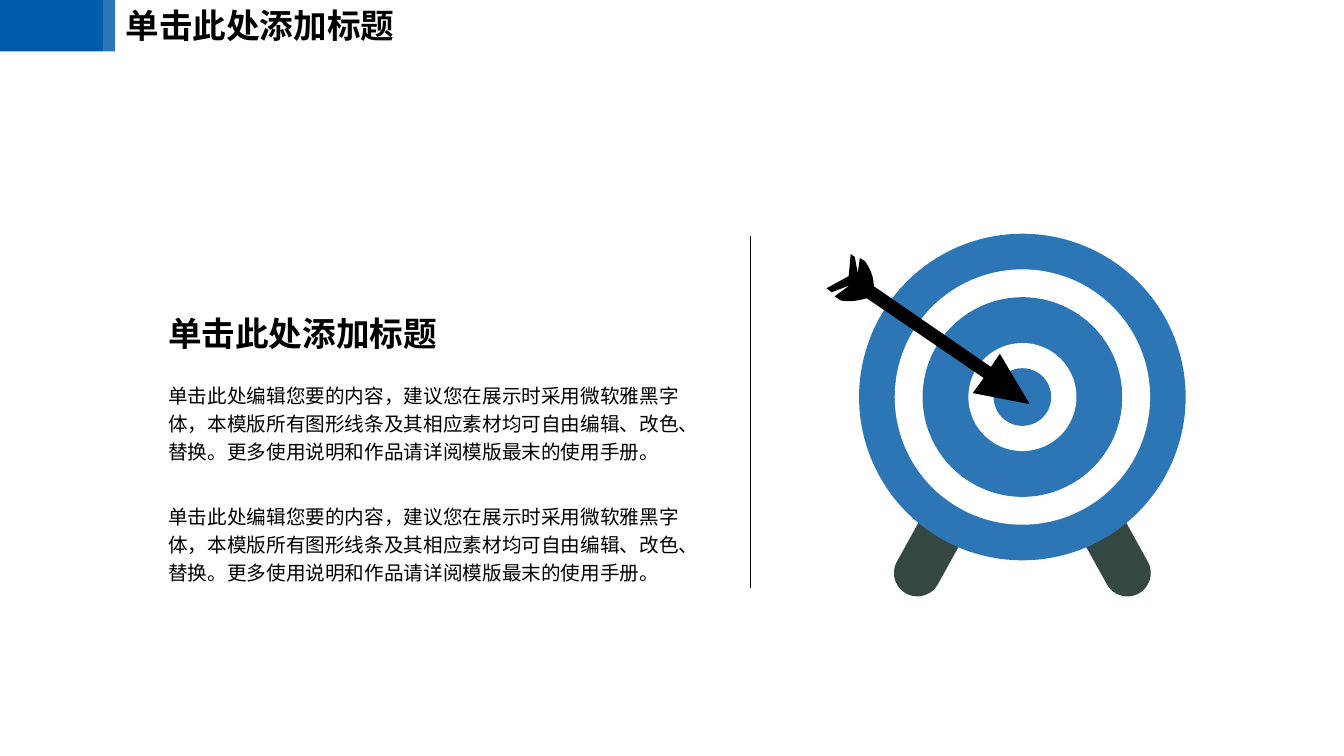
from dataclasses import dataclass

from lxml.etree import SubElement
from pptx import Presentation
from pptx.dml.color import RGBColor
from pptx.enum.shapes import MSO_CONNECTOR, MSO_SHAPE
from pptx.enum.text import MSO_AUTO_SIZE
from pptx.oxml.ns import qn
from pptx.util import Pt


@dataclass(frozen=True)
class Theme:
    font: str = "Noto Sans CJK SC"
    navy: str = "005BAC"
    blue: str = "2C76B5"
    white: str = "FFFFFF"
    black: str = "000000"
    leg: str = "354743"
    title_size: float = 24
    body_size: float = 14
    body_spacing: float = 1.2


class SlideBuilder:
    def __init__(self, slide, theme):
        self.s = slide
        self.theme = theme
        self.shapes = slide.shapes  # where new shapes go

    def start_group(self):
        self.shapes = self.s.shapes.add_group_shape().shapes

    def end_group(self):
        self.shapes = self.s.shapes

    def paint(self, sp, color):
        sp.shadow.inherit = False
        sp.fill.solid()
        sp.fill.fore_color.rgb = RGBColor.from_string(color)
        sp.line.fill.background()
        return sp

    def shape(self, kind, x, y, w, h, color):
        sp = self.shapes.add_shape(kind, Pt(x), Pt(y), Pt(w), Pt(h))
        return self.paint(sp, color)

    def disc(self, cx, cy, d, color):
        self.shape(MSO_SHAPE.OVAL, cx - d / 2, cy - d / 2, d, d, color)

    def capsule(self, cx, cy, w, h, angle, color):
        sp = self.shape(MSO_SHAPE.ROUNDED_RECTANGLE, cx - w / 2, cy - h / 2, w, h, color)
        sp.adjustments[0] = 0.5
        sp.rotation = angle

    def outline(self, points, color):
        first, *rest = [(Pt(x), Pt(y)) for x, y in points]
        builder = self.shapes.build_freeform(*first, scale=1.0)
        builder.add_line_segments(rest, close=True)
        self.paint(builder.convert_to_shape(), color)

    def rule(self, x1, y1, x2, y2, color, width):
        line = self.shapes.add_connector(
            MSO_CONNECTOR.STRAIGHT, Pt(x1), Pt(y1), Pt(x2), Pt(y2))
        line.line.color.rgb = RGBColor.from_string(color)
        line.line.width = Pt(width)
        SubElement(line._element.spPr, qn("a:effectLst"))

    def text_frame(self, x, y, w, h):
        tf = self.shapes.add_textbox(Pt(x), Pt(y), Pt(w), Pt(h)).text_frame
        tf.word_wrap = True
        tf.auto_size = MSO_AUTO_SIZE.SHAPE_TO_FIT_TEXT
        return tf

    def run(self, p, text, size, bold=False):
        r = p.add_run()
        r.text = text
        r.font.name = self.theme.font
        r.font.size = Pt(size)
        r.font.bold = bold
        r.font.color.rgb = RGBColor.from_string(self.theme.black)
        ea = SubElement(r.font._element, qn("a:ea"))
        ea.set("typeface", self.theme.font)

    def title(self, text, x, y):
        tf = self.text_frame(x, y, 216.7, 36)
        self.run(tf.paragraphs[0], text, self.theme.title_size, bold=True)

    def body(self, paragraphs, x, y, w, h):
        """paragraphs: pairs of text and space before."""
        tf = self.text_frame(x, y, w, h)
        tf.margin_left = tf.margin_right = tf.margin_top = tf.margin_bottom = 0
        for i, (text, before) in enumerate(paragraphs):
            p = tf.add_paragraph() if i else tf.paragraphs[0]
            p.line_spacing = self.theme.body_spacing
            p.space_before = Pt(before)
            # Let closing punctuation hang past the right edge
            p._p.get_or_add_pPr().set("hangingPunct", "1")
            self.run(p, text, self.theme.body_size)


def curve(p0, p1, p2, p3, steps=8):
    """Points along a cubic curve, both ends included."""
    points = []
    for i in range(steps + 1):
        t = i / steps
        weights = ((1 - t) ** 3, 3 * t * (1 - t) ** 2, 3 * t ** 2 * (1 - t), t ** 3)
        points.append(tuple(
            sum(k * v for k, v in zip(weights, axis))
            for axis in zip(p0, p1, p2, p3)))
    return points


TITLE = "单击此处添加标题"
BODY = ("单击此处编辑您要的内容，建议您在展示时采用微软雅黑字体，"
        "本模版所有图形线条及其相应素材均可自由编辑、改色、替换。"
        "更多使用说明和作品请详阅模版最末的使用手册。")
TARGET_X, TARGET_Y = 730.3, 283.6
RINGS = [233.3, 182.4, 142.6, 77.2, 41.2]
ARROW = [
    # Tail feathers, upper side
    (607, 203.8), (594, 208.8), (590.4, 205.9), (606.2, 197.3),
    (607.7, 181.4), (610.6, 183.6), (612.7, 195.1), (614.2, 184.3),
    *curve((617.8, 186.5), (621.4, 191.5), (624.2, 198), (624.2, 204.5)),
    # Shaft and head
    (707.8, 262.1), (714.2, 252.7), (735.5, 288.7), (694.8, 280.8), (702.7, 270),
    # Tail feathers, lower side
    *curve((619.2, 213.1), (613.4, 214.6), (607, 216), (600.5, 214.6)),
    (596.2, 211.7),
]


def main():
    prs = Presentation()
    prs.slide_width, prs.slide_height = Pt(960), Pt(540)
    theme = Theme()
    slide = SlideBuilder(prs.slides.add_slide(prs.slide_layouts[6]), theme)

    # Target on two legs, with the arrow in its centre
    slide.start_group()
    for side in (1, -1):
        slide.capsule(TARGET_X + side * 64.2, 389.8, 33.4, 78, -29 * side, theme.leg)
    for i, diameter in enumerate(RINGS):
        slide.disc(TARGET_X, TARGET_Y, diameter, theme.white if i % 2 else theme.blue)
    slide.outline(ARROW, theme.black)
    slide.end_group()

    # Text column and divider
    slide.title(TITLE, 113, 220.3)
    slide.body([(BODY, 2.8), (BODY, 25.8)], 120.2, 270.7, 369, 149)
    slide.rule(535.7, 168.3, 535.7, 419.8, theme.black, 0.5)

    # Header
    slide.shape(MSO_SHAPE.RECTANGLE, 0, 0, 73.5, 36.7, theme.navy)
    slide.shape(MSO_SHAPE.RECTANGLE, 73.5, 0, 8.8, 36.7, theme.blue)
    slide.title(TITLE, 82.6, 0)

    prs.save("out.pptx")


if __name__ == "__main__":
    main()
